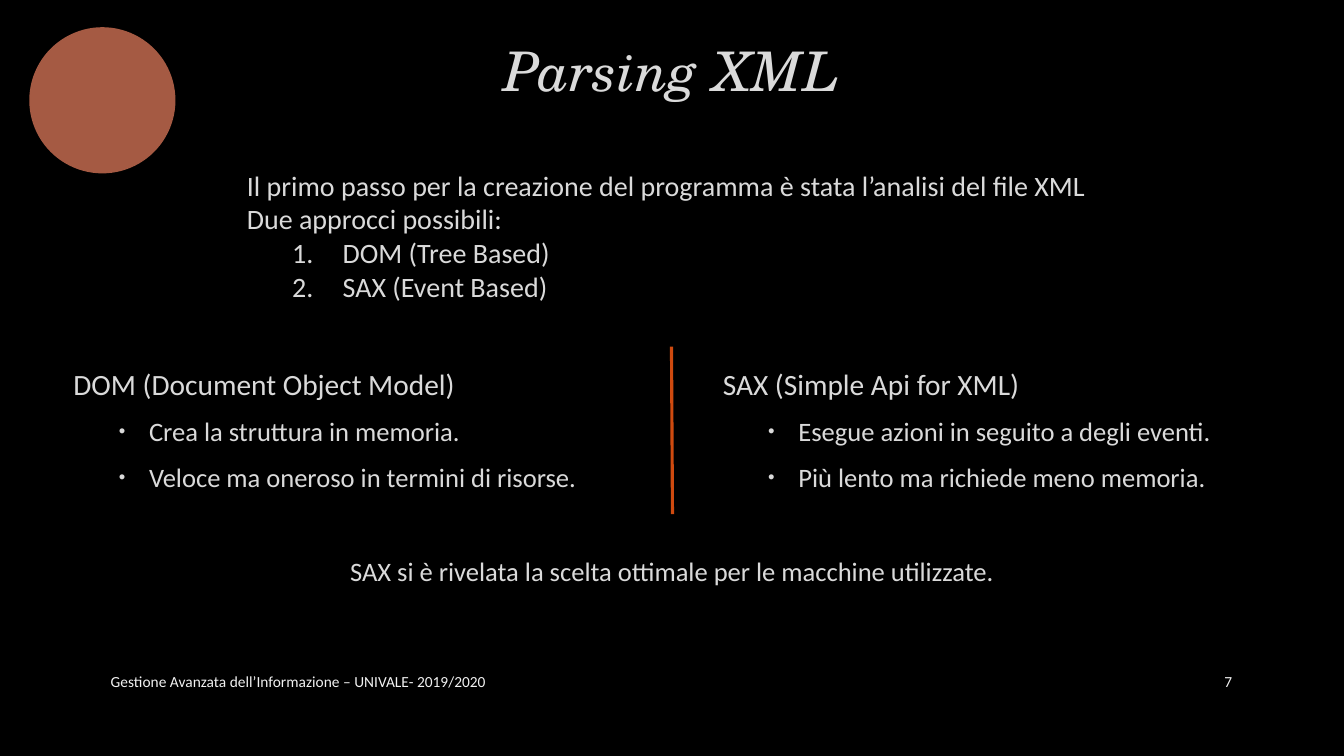
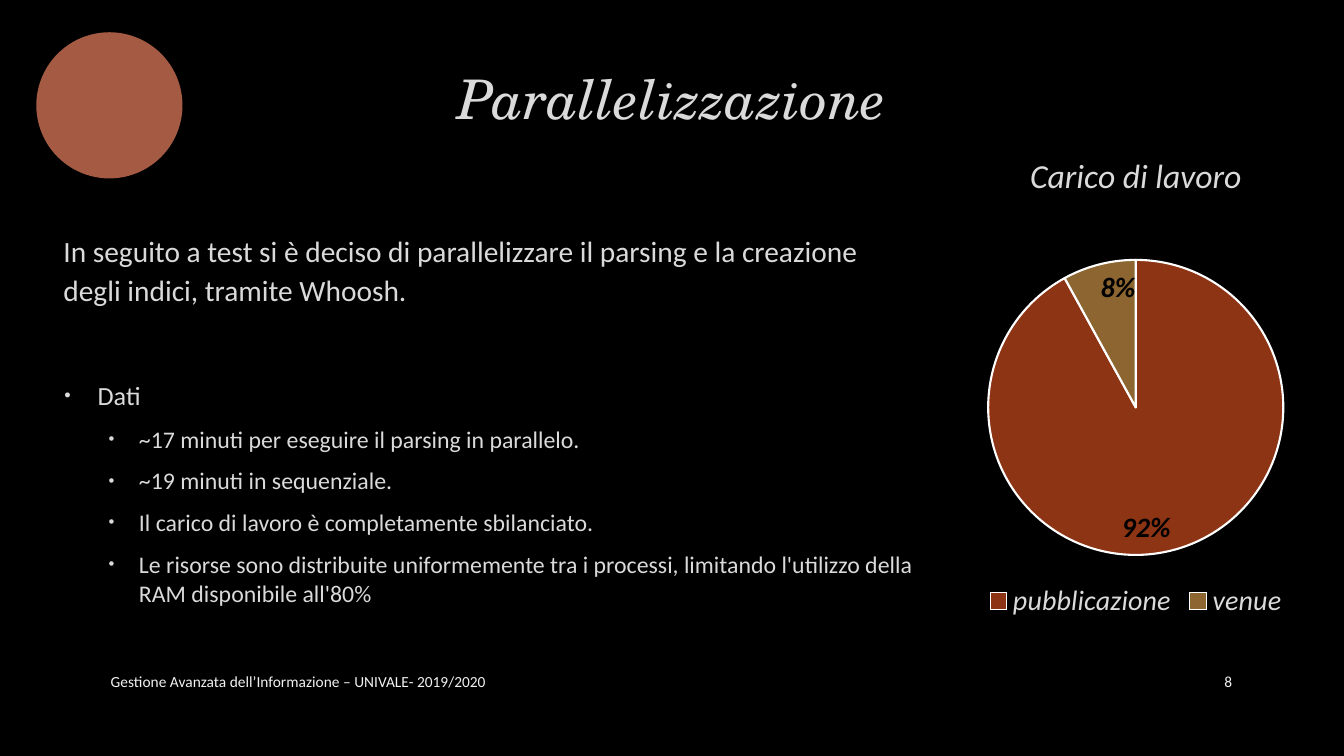
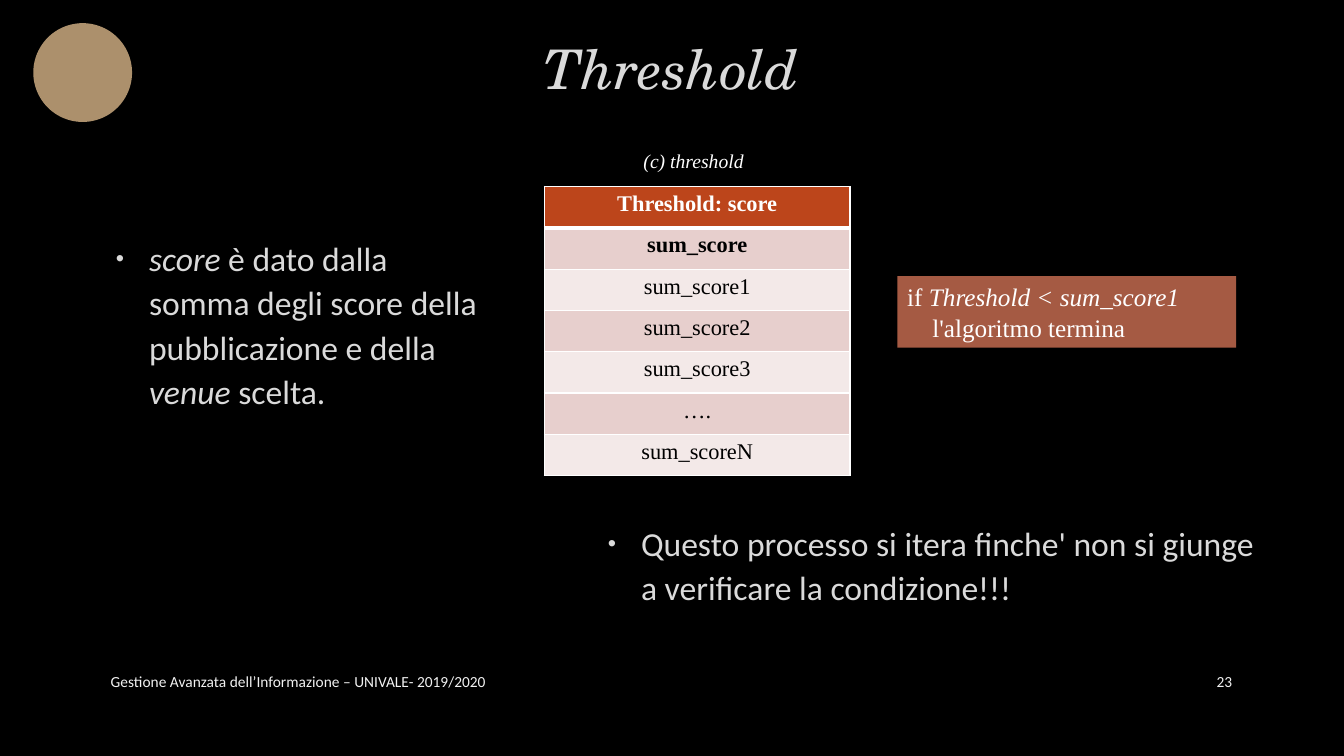
from pptx import Presentation
from pptx.chart.data import CategoryChartData
from pptx.dml.color import RGBColor
from pptx.enum import chart as ch, shapes, text
from pptx.oxml.ns import qn
from pptx.util import Inches, Pt
from lxml import etree

BLACK = RGBColor(0x00, 0x00, 0x00)
WHITE = RGBColor(0xFF, 0xFF, 0xFF)
LIGHT = RGBColor(0xDA, 0xDA, 0xDA)
FOOTER = RGBColor(0xF2, 0xF2, 0xF2)
BRICK = RGBColor(0xA5, 0x5A, 0x43)
SAND = RGBColor(0xAC, 0x90, 0x6C)
ORANGE = RGBColor(0xCF, 0x4A, 0x0F)
HEADER = RGBColor(0xBC, 0x45, 0x1B)
BAND_DARK = RGBColor(0xE7, 0xCF, 0xCD)
BAND_PALE = RGBColor(0xF3, 0xE9, 0xE8)
PIE_COLORS = [RGBColor(0x8D, 0x34, 0x14), RGBColor(0x8C, 0x65, 0x30)]

BODY_FONT = "Calibri"
TITLE_FONT = "TeX Gyre Schola"
SERIF = "Times New Roman"
FOOTER_TEXT = "Gestione Avanzata dell’Informazione – UNIVALE- 2019/2020"
CENTER, RIGHT = text.PP_ALIGN.CENTER, text.PP_ALIGN.RIGHT
MIDDLE = text.MSO_ANCHOR.MIDDLE


def sub(parent, tag, **attrs):
    """Append a DrawingML or chart element such as 'a:ln'."""
    return etree.SubElement(parent, qn(tag), {k: str(v) for k, v in attrs.items()})


def add_para(tf, runs, size, font=BODY_FONT, color=LIGHT, bold=False,
             italic=False, align=None, margin=0, indent=0, line=None,
             spaced=False, bullet=None):
    """Add a paragraph; runs is a string or a list of (text, italic) pairs."""
    p = tf.paragraphs[0]
    if p.runs:
        p = tf.add_paragraph()
    p.alignment = align
    if line:
        p.line_spacing = line
    if spaced:
        p.space_before, p.space_after = Pt(0.2 * size), Pt(6)
    pPr = p._p.get_or_add_pPr()
    pPr.set("marL", str(Inches(margin)))
    pPr.set("indent", str(Inches(indent)))
    if bullet == "•":
        sub(sub(pPr, "a:buClr"), "a:srgbClr", val=LIGHT)
        sub(pPr, "a:buSzPct", val=70000)
        sub(pPr, "a:buFont", typeface="Arial")
        sub(pPr, "a:buChar", char=bullet)
    elif bullet == "1.":
        sub(pPr, "a:buAutoNum", type="arabicPeriod")
    for words, slanted in [(runs, italic)] if isinstance(runs, str) else runs:
        r = p.add_run()
        r.text = words
        f = r.font
        f.name, f.size, f.bold, f.italic = font, Pt(size), bold, slanted
        f.color.rgb = color


def add_lead(tf, words):
    add_para(tf, words, 21, margin=0.04, line=1.1, spaced=True)


def add_bullet(tf, runs, size=24, line=1.1):
    add_para(tf, runs, size, margin=0.38, indent=-0.33, line=line,
             spaced=True, bullet="•")


def add_sub_bullets(tf, items, size):
    for item in items:
        add_para(tf, item, size, margin=0.79, indent=-0.3, spaced=True, bullet="•")


def add_text_box(s, x, y, w, h, anchor=text.MSO_ANCHOR.TOP):
    tf = s.shapes.add_textbox(Inches(x), Inches(y), Inches(w), Inches(h)).text_frame
    tf.word_wrap = True
    tf.vertical_anchor = anchor
    return tf


def add_filled_shape(s, kind, color, x, y, w, h):
    sp = s.shapes.add_shape(kind, Inches(x), Inches(y), Inches(w), Inches(h))
    sp.shadow.inherit = False
    sp.fill.solid()
    sp.fill.fore_color.rgb = color
    sp.line.fill.background()
    return sp


def add_circle(s, color, x, y, size):
    add_filled_shape(s, shapes.MSO_SHAPE.OVAL, color, x, y, size, size)


def add_slide(prs, title, title_top, number):
    """Add a slide with the shared title and footer."""
    s = prs.slides.add_slide(prs.slide_layouts[6])
    add_para(add_text_box(s, 1, title_top, 11.32, 1.38, MIDDLE), title, 39,
             TITLE_FONT, italic=True, align=CENTER, line=0.9)
    add_para(add_text_box(s, 1, 6.56, 7.3, 0.4, MIDDLE), FOOTER_TEXT, 11, color=FOOTER)
    add_para(add_text_box(s, 11.5, 6.56, 0.82, 0.4, MIDDLE), str(number), 11,
             color=FOOTER, align=RIGHT)
    return s


def add_divider(s, x1, y1, x2, y2):
    line = s.shapes.add_connector(shapes.MSO_CONNECTOR.STRAIGHT, Inches(x1),
                                  Inches(y1), Inches(x2), Inches(y2))
    line.line.color.rgb = ORANGE
    line.line.width = Pt(2.25)
    sub(line._element.spPr, "a:effectLst")


def set_plot_layout(chart, **fractions):
    """Fix the inner plot area as fractions of the chart frame."""
    area = chart._chartSpace.chart.plotArea
    for old in area.findall(qn("c:layout")):
        area.remove(old)
    layout = etree.Element(qn("c:layout"))
    area.insert(0, layout)
    manual = sub(layout, "c:manualLayout")
    sub(manual, "c:layoutTarget", val="inner")
    sub(manual, "c:xMode", val="edge")
    sub(manual, "c:yMode", val="edge")
    for key, value in fractions.items():
        sub(manual, f"c:{key}", val=value)


def set_font(font, size, color, bold=False):
    font.name, font.size, font.bold, font.italic = BODY_FONT, Pt(size), bold, True
    font.color.rgb = color


def add_pie(s, title, shares, x, y, w, h):
    data = CategoryChartData(number_format="0%")
    data.categories = list(shares)
    data.add_series("Series 1", list(shares.values()))
    chart = s.shapes.add_chart(ch.XL_CHART_TYPE.PIE, Inches(x), Inches(y),
                               Inches(w), Inches(h), data).chart
    set_font(chart.font, 20, LIGHT)
    chart.has_title = True
    tf = chart.chart_title.text_frame
    tf.text = title
    set_font(tf.paragraphs[0].runs[0].font, 24, LIGHT)
    chart.has_legend = True
    chart.legend.position = ch.XL_LEGEND_POSITION.BOTTOM
    chart.legend.include_in_layout = False
    set_font(chart.legend.font, 20, LIGHT)
    plot = chart.plots[0]
    plot.vary_by_categories = True
    plot.has_data_labels = True
    labels = plot.data_labels
    labels.show_value = True
    labels.number_format, labels.number_format_is_linked = "0%", False
    labels.position = ch.XL_LABEL_POSITION.INSIDE_END
    set_font(labels.font, 20, BLACK, bold=True)
    for i, color in enumerate(PIE_COLORS):
        fmt = plot.series[0].points[i].format
        fmt.fill.solid()
        fmt.fill.fore_color.rgb = color
        fmt.line.color.rgb = WHITE
        fmt.line.width = Pt(1.5)
    set_plot_layout(chart, x=0.3, y=0.26, w=0.4, h=0.6)


def set_borders(cell, bottom):
    tcPr = cell._tc.get_or_add_tcPr()
    for i, (side, width) in enumerate(zip("LRTB", (1, 1, 1, bottom))):
        ln = etree.Element(qn(f"a:ln{side}"), w=str(Pt(width)))
        sub(sub(ln, "a:solidFill"), "a:srgbClr", val=WHITE)
        tcPr.insert(i, ln)


def add_score_table(s, rows, x, y, w, row_height):
    """Add a one-column table: a header, a bold first row, banded rows."""
    table = s.shapes.add_table(len(rows), 1, Inches(x), Inches(y), Inches(w),
                               Inches(row_height * len(rows))).table
    for i, words in enumerate(rows):
        table.rows[i].height = Inches(row_height)
        cell = table.cell(i, 0)
        cell.fill.solid()
        cell.fill.fore_color.rgb = (HEADER if i == 0 else
                                    BAND_DARK if i % 2 else BAND_PALE)
        add_para(cell.text_frame, words, 16, SERIF, BLACK if i else WHITE,
                 bold=i < 2, align=CENTER)
        set_borders(cell, bottom=1 if i else 3)


def build_parsing(prs):
    s = add_slide(prs, "Parsing XML", 0.04, 7)
    add_circle(s, BRICK, 0.29, 0.27, 1.45)
    tf = add_text_box(s, 2.35, 1.62, 9.36, 1.45)
    add_para(tf, "Il primo passo per la creazione del programma è stata l’analisi del file XML", 20)
    add_para(tf, "Due approcci possibili:", 20)
    for approach in ("DOM (Tree Based)", "SAX (Event Based)"):
        add_para(tf, approach, 20, margin=0.95, indent=-0.5, bullet="1.")
    columns = [
        (0.59, 5.6, "DOM (Document Object Model)",
         ["Crea la struttura in memoria.", "Veloce ma oneroso in termini di risorse."]),
        (7.03, 5.31, "SAX (Simple Api for XML)",
         ["Esegue azioni in seguito a degli eventi.", "Più lento ma richiede meno memoria."]),
    ]
    for x, w, heading, items in columns:
        tf = add_text_box(s, x, 3.55, w, 1.9)
        add_lead(tf, heading)
        add_sub_bullets(tf, items, 19)
    add_divider(s, 6.66, 3.44, 6.67, 5.1)
    add_para(add_text_box(s, 0, 5.46, 13.33, 0.42),
             "SAX si è rivelata la scelta ottimale per le macchine utilizzate.",
             19, align=CENTER)


def build_parallel(prs):
    s = add_slide(prs, "Parallelizzazione", 0.32, 8)
    add_circle(s, BRICK, 0.36, 0.32, 1.45)
    add_pie(s, "Carico di lavoro", {"pubblicazione": 0.92, "venue": 0.08},
            7.55, 1.31, 7.43, 4.88)
    add_lead(add_text_box(s, 0.49, 2.23, 8.51, 1.45),
             "In seguito a test si è deciso di parallelizzare il parsing e la "
             "creazione degli indici, tramite Whoosh.")
    tf = add_text_box(s, 0.49, 3.75, 8.84, 2.14)
    add_bullet(tf, "Dati", 18.7, 0.9)
    add_sub_bullets(tf, [
        "~17 minuti per eseguire il parsing in parallelo.",
        "~19 minuti in sequenziale.",
        "Il carico di lavoro è completamente sbilanciato.",
        "Le risorse sono distribuite uniformemente tra i processi, limitando "
        "l'utilizzo della RAM disponibile all'80%",
    ], 17)


def build_threshold(prs):
    s = add_slide(prs, "Threshold", 0.02, 23)
    add_circle(s, SAND, 0.33, 0.23, 0.98)
    add_bullet(add_text_box(s, 1, 2.27, 3.94, 2.41), [
        ("score", True),
        (" è dato dalla somma degli score della pubblicazione e della ", False),
        ("venue", True), (" scelta.", False)])
    add_para(add_text_box(s, 5.38, 1.43, 3, 0.34), "(c) threshold", 14, SERIF,
             WHITE, italic=True, align=CENTER)
    add_score_table(s, ["Threshold: score", "sum_score", "sum_score1", "sum_score2",
                        "sum_score3", "….", "sum_scoreN"], 5.4, 1.85, 3.03, 0.41)
    sp = add_filled_shape(s, shapes.MSO_SHAPE.RECTANGLE, BRICK, 8.9, 2.74, 3.36, 0.71)
    tf = sp.text_frame
    tf.word_wrap = True
    left = text.PP_ALIGN.LEFT
    add_para(tf, [("if ", False), ("Threshold < sum_score1", True)], 18, SERIF,
             WHITE, align=left)
    add_para(tf, "l'algoritmo termina", 18, SERIF, WHITE, align=left, margin=0.25)
    add_bullet(add_text_box(s, 5.88, 5.1, 6.73, 1.4),
               "Questo processo si itera finche' non si giunge a verificare la condizione!!!")


def main():
    prs = Presentation()
    prs.slide_width, prs.slide_height = Inches(13.33), Inches(7.5)
    fill = prs.slide_master.background.fill
    fill.solid()
    fill.fore_color.rgb = BLACK
    build_parsing(prs)
    build_parallel(prs)
    build_threshold(prs)
    prs.save("out.pptx")


if __name__ == "__main__":
    main()
